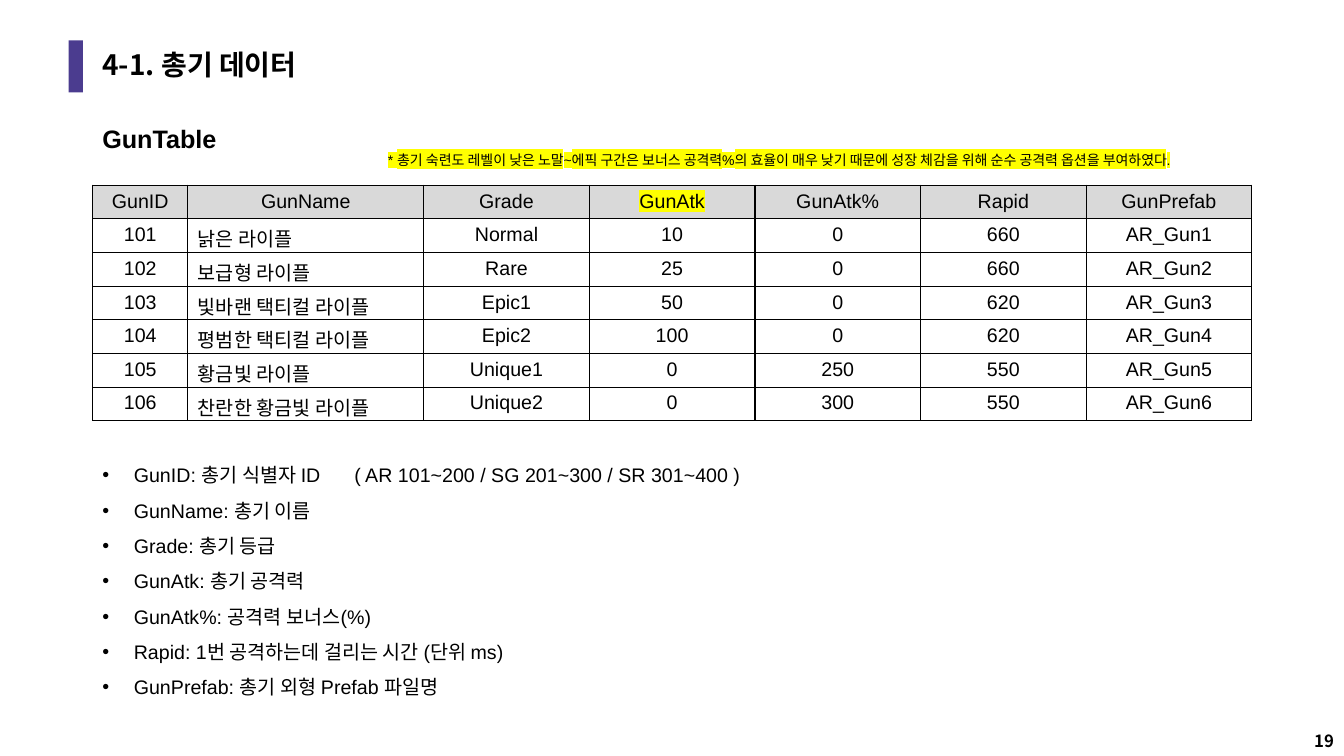
import pptx
import pptx.dml.color
import pptx.enum.shapes
import pptx.enum.text
import pptx.oxml
import pptx.oxml.ns
import pptx.util

Pt = pptx.util.Pt
ALIGN = pptx.enum.text.PP_ALIGN
ANCHOR = pptx.enum.text.MSO_ANCHOR
FIT = pptx.enum.text.MSO_AUTO_SIZE
COLORS = {"black": "000000", "purple": "4B3C8F", "header": "D9D9D9", "highlight": "FFFF00"}
KOREAN = "Noto Sans CJK KR"
NAMESPACE = pptx.oxml.ns.nsdecls("a")


def write(paragraph, text, size, bold=False, font="Arial", highlight=False):
    run = paragraph.add_run()
    run.text = text
    run.font.color.rgb = pptx.dml.color.RGBColor.from_string(COLORS["black"])
    if highlight:
        run._r.rPr.append(pptx.oxml.parse_xml(
            f'<a:highlight {NAMESPACE}><a:srgbClr val="{COLORS["highlight"]}"/></a:highlight>'))
    for name, value in {"size": Pt(size), "bold": bold, "name": font}.items():
        setattr(run.font, name, value)
    run._r.rPr.append(pptx.oxml.parse_xml(f'<a:ea {NAMESPACE} typeface="{KOREAN}"/>'))


def add_text(left, top, width, height, **frame_format):
    frame = slide.shapes.add_textbox(Pt(left), Pt(top), Pt(width), Pt(height)).text_frame
    for name, value in frame_format.items():
        setattr(frame, name, value)
    return frame


presentation = pptx.Presentation()
presentation.slide_width, presentation.slide_height = Pt(960), Pt(540)
slide = presentation.slides.add_slide(presentation.slide_layouts[6])

# Page number
frame = add_text(894, 511, 66, 29, word_wrap=True, vertical_anchor=ANCHOR.BOTTOM)
frame.paragraphs[0].alignment = ALIGN.RIGHT
write(frame.paragraphs[0], "19", 12, bold=True, font=KOREAN)

# Title with accent bar
bar = slide.shapes.add_shape(pptx.enum.shapes.MSO_SHAPE.RECTANGLE, Pt(49), Pt(28.8), Pt(10.2), Pt(37.2))
bar.shadow.inherit = False
bar.fill.solid()
bar.fill.fore_color.rgb = pptx.dml.color.RGBColor.from_string(COLORS["purple"])
bar.line.fill.background()
frame = add_text(66, 28.8, 828, 37.2, word_wrap=True, vertical_anchor=ANCHOR.MIDDLE,
                 auto_size=FIT.TEXT_TO_FIT_SHAPE)
frame.paragraphs[0].line_spacing = 0.9
write(frame.paragraphs[0], "4-1. 총기 데이터", 20, bold=True, font=KOREAN)

# Table heading
frame = add_text(66, 84.5, 98.6, 29, word_wrap=False, auto_size=FIT.SHAPE_TO_FIT_TEXT)
write(frame.paragraphs[0], "GunTable", 18, bold=True)

# Gun table
rows = [
    ("GunID", "GunName", "Grade", "GunAtk", "GunAtk%", "Rapid", "GunPrefab"),
    ("101", "낡은 라이플", "Normal", "10", "0", "660", "AR_Gun1"),
    ("102", "보급형 라이플", "Rare", "25", "0", "660", "AR_Gun2"),
    ("103", "빛바랜 택티컬 라이플", "Epic1", "50", "0", "620", "AR_Gun3"),
    ("104", "평범한 택티컬 라이플", "Epic2", "100", "0", "620", "AR_Gun4"),
    ("105", "황금빛 라이플", "Unique1", "0", "250", "550", "AR_Gun5"),
    ("106", "찬란한 황금빛 라이플", "Unique2", "0", "300", "550", "AR_Gun6"),
]
column_widths = [68, 168.5] + [118.3] * 5
table = slide.shapes.add_table(len(rows), len(column_widths), Pt(66.2), Pt(132.3),
                               Pt(sum(column_widths)), Pt(24 * len(rows))).table
for column, width in zip(table.columns, column_widths):
    column.width = Pt(width)
for row_index, row in enumerate(rows):
    table.rows[row_index].height = Pt(24)
    for column_index, text in enumerate(row):
        cell = table.cell(row_index, column_index)
        is_header = row_index == 0
        paragraph = cell.text_frame.paragraphs[0]
        if is_header or column_index != 1:
            paragraph.alignment = ALIGN.CENTER
        write(paragraph, text, 14, highlight=text == "GunAtk")
        for side in ("lnL", "lnR", "lnT", "lnB"):
            cell._tc.get_or_add_tcPr().append(pptx.oxml.parse_xml(
                f'<a:{side} {NAMESPACE} w="12700"><a:solidFill>'
                f'<a:srgbClr val="{COLORS["black"]}"/></a:solidFill></a:{side}>'))
        if is_header:
            cell.fill.solid()
            cell.fill.fore_color.rgb = pptx.dml.color.RGBColor.from_string(COLORS["header"])
        else:
            cell.fill.background()

# Column descriptions
descriptions = [
    "GunID: 총기 식별자 ID\t( AR 101~200 / SG 201~300 / SR 301~400 )",
    "GunName: 총기 이름",
    "Grade: 총기 등급",
    "GunAtk: 총기 공격력",
    "GunAtk%: 공격력 보너스(%)",
    "Rapid: 1번 공격하는데 걸리는 시간 (단위 ms)",
    "GunPrefab: 총기 외형 Prefab 파일명",
]
frame = add_text(66, 319, 510.5, 182, word_wrap=False, auto_size=FIT.SHAPE_TO_FIT_TEXT)
for index, description in enumerate(descriptions):
    paragraph = frame.add_paragraph() if index else frame.paragraphs[0]
    paragraph.line_spacing = 1.5
    properties = paragraph._p.get_or_add_pPr()
    properties.set("marL", str(Pt(22.5)))
    properties.set("indent", str(-Pt(22.5)))
    for bullet in ('buFont {} typeface="Arial"', 'buChar {} char="•"'):
        properties.append(pptx.oxml.parse_xml(f"<a:{bullet.format(NAMESPACE)}/>"))
    write(paragraph, description, 14)

# Note on attack options
frame = add_text(270, 104.4, 631.5, 19.4, word_wrap=False, auto_size=FIT.SHAPE_TO_FIT_TEXT)
write(frame.paragraphs[0], "* 총기 숙련도 레벨이 낮은 노말~에픽 구간은 보너스 공격력%의 효율이 매우 낮기 때문에 "
      "성장 체감을 위해 순수 공격력 옵션을 부여하였다.", 10, highlight=True)

presentation.save("out.pptx")
